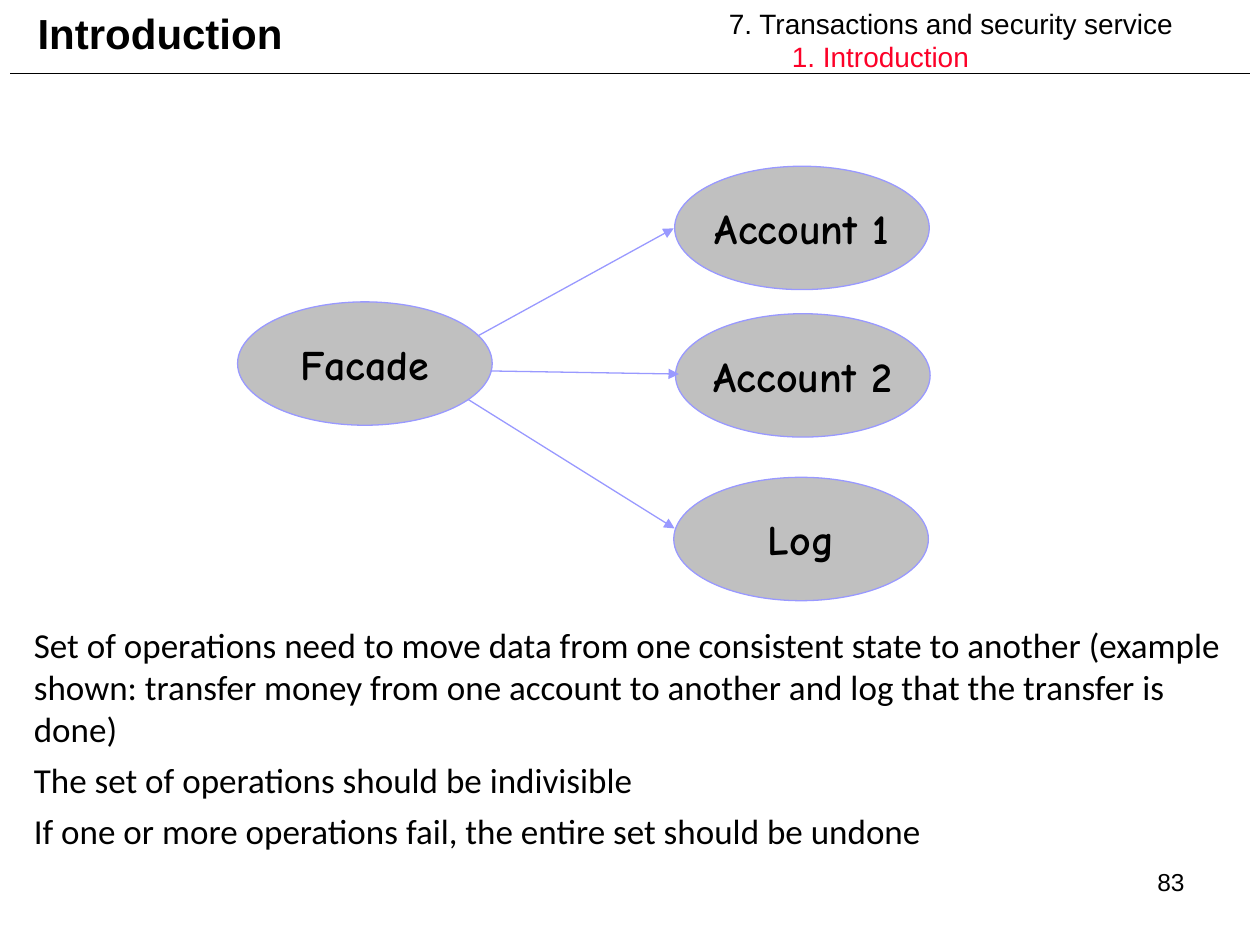
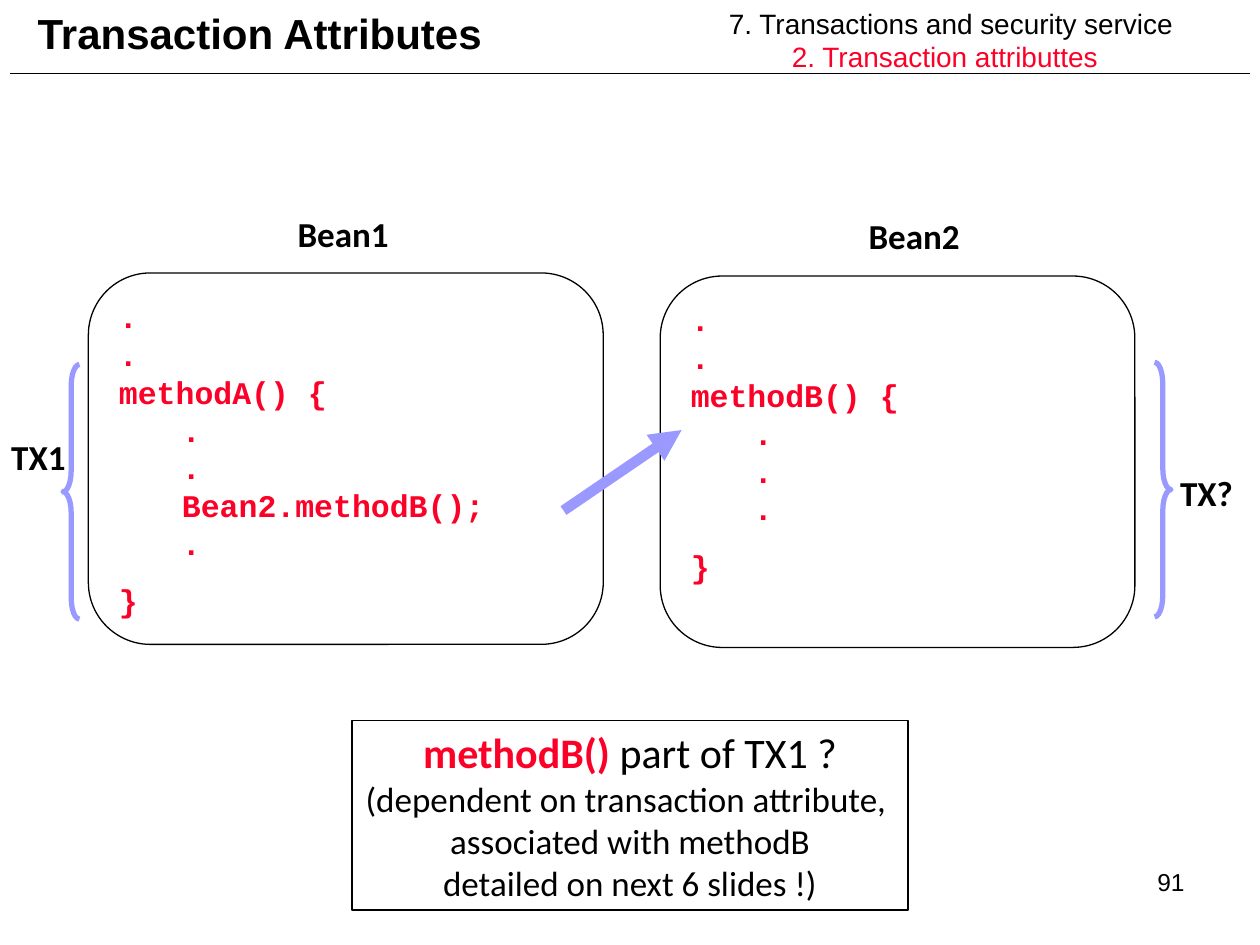
import pptx
import pptx.dml.color
import pptx.enum.shapes
import pptx.enum.text
import pptx.util
from lxml import etree

Pt = pptx.util.Pt
hex_color = pptx.dml.color.RGBColor.from_string
Preset = pptx.enum.shapes.MSO_SHAPE
STRAIGHT = pptx.enum.shapes.MSO_CONNECTOR.STRAIGHT
Align = pptx.enum.text.PP_ALIGN
Anchor = pptx.enum.text.MSO_ANCHOR

BLACK, WHITE, RED, GRAY, LILAC = "000000", "FFFFFF", "FC0128", "C0C0C0", "9999FF"
DRAWING = "{http://schemas.openxmlformats.org/drawingml/2006/main}"


def add_text(box, text, size=20, font="Calibri", color=BLACK, bold=False, align=Align.LEFT,
             anchor=Anchor.TOP, before=0, margin=0, wrap=True, inline=False):
    """Add a paragraph to the box, or continue its last one when inline."""
    frame = box.text_frame
    frame.word_wrap = wrap
    frame.vertical_anchor = anchor
    if inline or not frame.text:
        para = frame.paragraphs[-1]
    else:
        para = frame.add_paragraph()
        para.space_before = Pt(before)
    para.alignment = align
    if margin:
        para._p.get_or_add_pPr().set("marL", str(Pt(margin)))
    for number, line in enumerate(text.split("\n")):
        if number:
            para.add_line_break()
        span = para.add_run()
        span.text = line
        span.font.size = Pt(size)
        span.font.name = font
        span.font.bold = bold
        span.font.color.rgb = hex_color(color)


def set_outline(shape, color, width, arrow=False):
    """Give a shape or connector a plain line without shadow."""
    shape.line.color.rgb = hex_color(color)
    shape.line.width = Pt(width)
    if arrow:
        line = shape.line._get_or_add_ln()
        etree.SubElement(line, DRAWING + "tailEnd", type="triangle")
    etree.SubElement(shape._element.spPr, DRAWING + "effectLst")


deck = pptx.Presentation()
deck.slide_width, deck.slide_height = Pt(720), Pt(540)

# Shared frame: title, chapter heading, rule and page number
pages = []
for title, section, number in [
    ("Introduction", "1. Introduction", "83"),
    ("Transaction Attributes", "2. Transaction attributtes", "91"),
]:
    page = deck.slides.add_slide(deck.slide_layouts[6])
    pages.append(page)
    rule = page.shapes.add_connector(STRAIGHT, Pt(5.75), Pt(42), Pt(714.25), Pt(42))
    set_outline(rule, BLACK, 1)

    box = page.shapes.add_textbox(Pt(516), Pt(492), Pt(168), Pt(37.5))
    add_text(box, number, size=14, font="Arial", align=Align.RIGHT)

    box = page.shapes.add_textbox(Pt(14.4), Pt(0), Pt(423.4), Pt(37.5))
    add_text(box, title, size=24, font="Arial", bold=True, anchor=Anchor.MIDDLE)

    box = page.shapes.add_textbox(Pt(409.5), Pt(0), Pt(310.5), Pt(46))
    add_text(box, "7. Transactions and security service", size=16, font="Arial")
    add_text(box, section, size=16, font="Arial", color=RED, margin=36)

intro_page, attributes_page = pages

# Introduction: explanation
box = intro_page.shapes.add_textbox(Pt(12.25), Pt(352.8), Pt(697.7), Pt(169))
for statement in [
    "Set of operations need to move data from one consistent state to another "
    "(example shown: transfer money from one account to another and log that "
    "the transfer is done)",
    "The set of operations should be indivisible",
    "If one or more operations fail, the entire set should be undone",
]:
    add_text(box, statement, before=5)

# Introduction: facade and the objects it calls
for name, left, top in [
    ("Facade", 135.75, 172.5),
    ("Account 1", 385.5, 95),
    ("Account 2", 386, 179.25),
    ("Log", 385, 272.75),
]:
    oval = intro_page.shapes.add_shape(Preset.OVAL, Pt(left), Pt(top), Pt(145.5), Pt(70.5))
    oval.fill.solid()
    oval.fill.fore_color.rgb = hex_color(GRAY)
    set_outline(oval, LILAC, 0.75)
    add_text(oval, name, size=24, font="Comic Neue", bold=True, align=Align.CENTER,
             anchor=Anchor.MIDDLE, wrap=False)

for x1, y1, x2, y2 in [
    (273, 192, 385, 130.5),
    (280.25, 212, 388, 213.75),
    (267.5, 228.25, 385.5, 302),
]:
    call = intro_page.shapes.add_connector(STRAIGHT, Pt(x1), Pt(y1), Pt(x2), Pt(y2))
    set_outline(call, LILAC, 0.75, arrow=True)

# Transaction attributes: code of the two beans
for left, top, width, code in [
    (50.5, 156, 294.25,
     ".\n.\nmethodA() {\n\t.\n\t.\n\tBean2.methodB();\n\t."),
    (377.25, 157.75, 271.25, ".\n.\nmethodB() {\n\t.\n\t.\n\t."),
]:
    bean = attributes_page.shapes.add_shape(
        Preset.ROUNDED_RECTANGLE, Pt(left), Pt(top), Pt(width), Pt(212.25))
    bean.adjustments[0] = 0.167
    bean.fill.solid()
    bean.fill.fore_color.rgb = hex_color(WHITE)
    set_outline(bean, BLACK, 0.75)
    for part in (code, "}"):
        add_text(bean, part, size=18, font="Courier New", color=RED, bold=True, before=11.2)

# Transaction attributes: call between the beans
call = attributes_page.shapes.add_connector(STRAIGHT, Pt(322), Pt(291.75), Pt(389.5), Pt(245.75))
set_outline(call, LILAC, 6, arrow=True)

# Transaction attributes: braces for the transaction scopes
for preset, left, top in [
    (Preset.LEFT_BRACE, 36, 208.25),
    (Preset.RIGHT_BRACE, 659.75, 207),
]:
    brace = attributes_page.shapes.add_shape(preset, Pt(left), Pt(top), Pt(9.4), Pt(145.5))
    brace.adjustments[0] = 1.29
    brace.fill.background()
    set_outline(brace, LILAC, 3)

# Transaction attributes: bean and transaction labels
for label, left, top, width in [
    ("Bean1", 118.75, 118, 154.75),
    ("Bean2", 445, 118.75, 154.75),
    ("TX1", -5.75, 245.5, 55.5),
    ("TX?", 661.75, 265.75, 55.5),
]:
    box = attributes_page.shapes.add_textbox(Pt(left), Pt(top), Pt(width), Pt(31.5))
    add_text(box, label, bold=True, align=Align.CENTER)

# Transaction attributes: question
question = attributes_page.shapes.add_shape(
    Preset.RECTANGLE, Pt(201.25), Pt(411.75), Pt(317.5), Pt(108.25))
question.fill.background()
set_outline(question, BLACK, 1)
add_text(question, "methodB()", size=24, color=RED, bold=True, align=Align.CENTER)
add_text(question, " part of TX1 ?", size=24, align=Align.CENTER, inline=True)
for remark in [
    "(dependent on transaction attribute, ",
    "associated with methodB",
    "detailed on next 6 slides !)",
]:
    add_text(question, remark, align=Align.CENTER)

deck.save("out.pptx")
